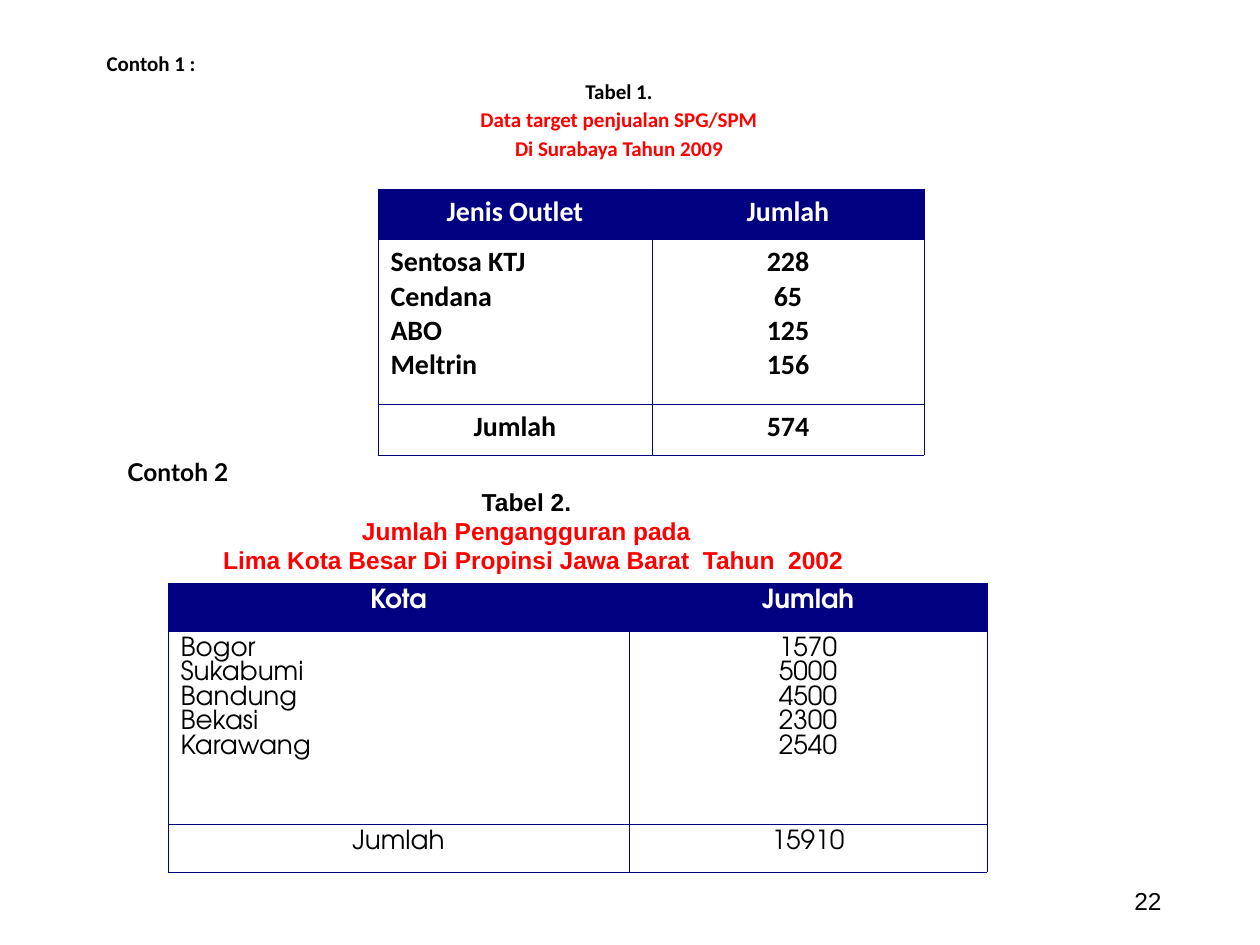
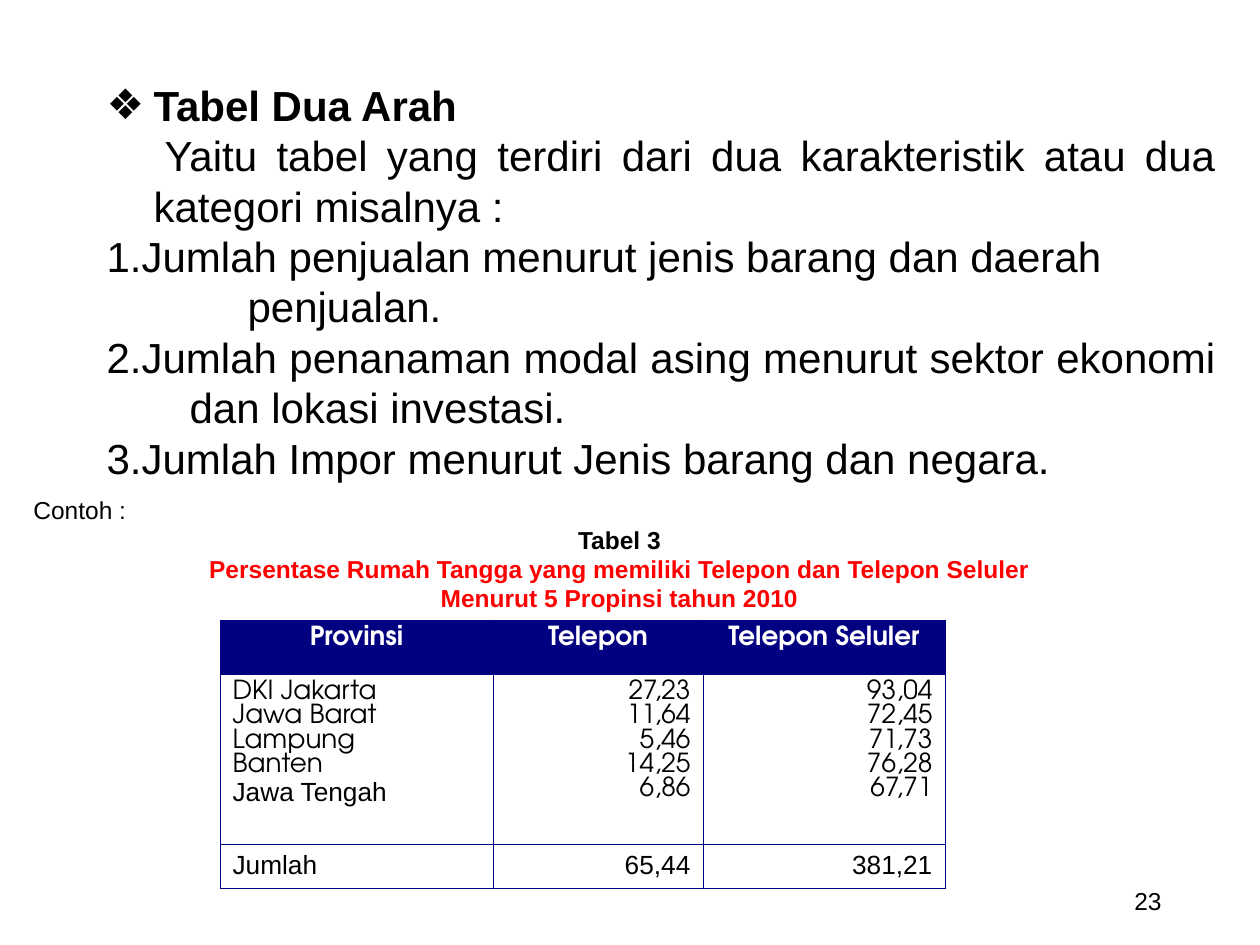
from lxml.etree import SubElement
from pptx import Presentation
from pptx.dml.color import RGBColor
from pptx.enum.text import MSO_ANCHOR, MSO_AUTO_SIZE, PP_ALIGN
from pptx.oxml.ns import qn
from pptx.util import Emu, Pt

PX_PER_INCH = 126
BLACK = RGBColor(0, 0, 0)
WHITE = RGBColor(255, 255, 255)
RED = RGBColor(255, 0, 0)
NAVY = RGBColor(0, 0, 128)
LEFT, CENTER, RIGHT, JUSTIFY = PP_ALIGN.LEFT, PP_ALIGN.CENTER, PP_ALIGN.RIGHT, PP_ALIGN.JUSTIFY
ARIAL, CALIBRI, LATO, ADVENTOR = "Arial", "Calibri", "Lato", "TeX Gyre Adventor"
LINE_RATIO = 1.2


def px(length):
    return Emu(round(length * 914400 / PX_PER_INCH))


def write_para(frame, text, font=ARIAL, size=14, color=BLACK, bold=False, align=LEFT,
               line=None, before=0, margin=0, indent=0, bullet=None):
    """Fill the empty first paragraph of the frame, or add one after the last."""
    para = frame.paragraphs[0]
    if para.runs:
        para = frame.add_paragraph()
    para.alignment = align
    para.space_before = Pt(before)
    if line:
        para.line_spacing = line
    properties = para._p.get_or_add_pPr()
    properties.set("marL", str(px(margin)))
    properties.set("indent", str(px(indent)))
    if bullet:
        SubElement(properties, qn("a:buChar"), char=bullet)
    else:
        SubElement(properties, qn("a:buNone"))
    span = para.add_run()
    span.text = text
    span.font.name, span.font.size, span.font.bold = font, Pt(size), bold
    span.font.color.rgb = color


def place(shape, box):
    shape.left, shape.top, shape.width, shape.height = map(px, box)


def add_page(deck, number):
    """Add a page without title, with its number at the bottom right."""
    page = deck.slides.add_slide(deck.slide_layouts[1])
    title = page.shapes.title._element
    title.getparent().remove(title)
    frame = add_text_box(page, (890, 876, 284, 50))
    frame.vertical_anchor = MSO_ANCHOR.MIDDLE
    write_para(frame, str(number), align=RIGHT)
    return page


def add_text_box(page, box):
    frame = page.shapes.add_textbox(*map(px, box)).text_frame
    frame.word_wrap = True
    return frame


def body_frame(page, box):
    body = page.placeholders[1]
    place(body, box)
    body.text_frame.auto_size = MSO_AUTO_SIZE.NONE
    return body.text_frame


def add_caption(page, box, example, name, title_lines, example_format, last_margin=0):
    """Example label, table name and a red table title of two lines."""
    frame = add_text_box(page, box)
    line = Pt(14 * LINE_RATIO)
    write_para(frame, example, line=line, **example_format)
    write_para(frame, name, bold=True, align=CENTER, line=line)
    for text, margin in zip(title_lines, (0, last_margin)):
        write_para(frame, text, bold=True, color=RED, align=CENTER, line=line, margin=margin)


def draw_borders(cell):
    properties = cell._tc.get_or_add_tcPr()
    for position, side in enumerate(("a:lnL", "a:lnR", "a:lnT", "a:lnB")):
        line = properties.makeelement(qn(side), {"w": str(Pt(0.45))})
        fill = SubElement(line, qn("a:solidFill"))
        SubElement(fill, qn("a:srgbClr"), val=str(NAVY))
        properties.insert(position, line)


def add_data_table(page, corner, widths, heights, rows, aligns, total_aligns, style,
                   bold=False, total_font=None, fonts=None):
    """Navy header, one row that holds all the entries, and a row for the total."""
    table = page.shapes.add_table(len(rows), len(widths), *map(
        px, (*corner, sum(widths), sum(heights)))).table
    table.first_row = table.horz_banding = False
    for column, width in zip(table.columns, widths):
        column.width = px(width)
    row_aligns = ([CENTER] * len(widths), aligns, total_aligns)
    for index, (row, height, texts) in enumerate(zip(table.rows, heights, rows)):
        row.height = px(height)
        for cell, entries, align in zip(row.cells, texts, row_aligns[index]):
            header = index == 0
            if header:
                cell.fill.solid()
                cell.fill.fore_color.rgb = NAVY
            else:
                cell.fill.background()
            draw_borders(cell)
            for text in entries.split("\n"):
                look = dict(style)
                if index == 2 and total_font:
                    look["font"] = total_font
                look["font"] = (fonts or {}).get(text, look["font"])
                write_para(cell.text_frame, text, align=align, bold=header or bold,
                           color=WHITE if header else BLACK, **look)


def build_one_way_page(deck):
    page = add_page(deck, 22)

    # First example
    frame = body_frame(page, (94, 53, 1050, 116))
    heading = dict(font=CALIBRI, size=12, bold=True, line=0.6, before=7.5)
    write_para(frame, "Contoh 1 :", **heading)
    write_para(frame, "Tabel 1.", align=CENTER, **heading)
    for text in ("Data target penjualan SPG/SPM", "Di Surabaya Tahun 2009"):
        write_para(frame, text, align=CENTER, color=RED, **heading)
    add_data_table(
        page, (378, 189), (274, 272), (50, 165, 51),
        [("Jenis Outlet", "Jumlah"),
         ("Sentosa KTJ\nCendana\nABO\nMeltrin", "228\n65\n125\n156"),
         ("Jumlah", "574")],
        (LEFT, CENTER), (CENTER, CENTER), dict(font=CALIBRI, size=16), bold=True)

    # Second example
    add_caption(page, (0, 451, 1053, 131), "Contoh 2", "Tabel 2.",
                ("Jumlah Pengangguran pada",
                 "Lima Kota Besar Di Propinsi Jawa Barat  Tahun  2002"),
                dict(font=LATO, bold=True, margin=115), last_margin=14)
    add_data_table(
        page, (168, 583), (461, 358), (48, 193, 48),
        [("Kota", "Jumlah"),
         ("Bogor\nSukabumi\nBandung\nBekasi\nKarawang", "1570\n5000\n4500\n2300\n2540"),
         ("Jumlah", "15910")],
        (LEFT, CENTER), (CENTER, CENTER), dict(font=ADVENTOR, size=15))


def build_two_way_page(deck):
    page = add_page(deck, 23)

    # Definition and list
    frame = body_frame(page, (94, 73, 1134, 416))
    text_format = dict(size=24, line=Pt(24 * LINE_RATIO))
    write_para(frame, "Tabel Dua Arah", bold=True, align=JUSTIFY, margin=47, indent=-47,
               bullet="❖", **text_format)
    write_para(frame, "Yaitu tabel yang terdiri dari dua karakteristik atau dua "
               "kategori misalnya :", align=JUSTIFY, margin=47, indent=11, **text_format)
    items = (
        ("1.Jumlah penjualan menurut jenis barang dan daerah penjualan.", LEFT, 141),
        ("2.Jumlah penanaman modal asing menurut sektor ekonomi dan lokasi investasi.",
         JUSTIFY, 83),
        ("3.Jumlah Impor menurut Jenis barang dan negara.", JUSTIFY, 47),
    )
    for text, align, hang in items:
        write_para(frame, text, align=align, margin=hang, indent=-hang, **text_format)

    # Example
    add_caption(page, (21, 489, 1197, 131), "Contoh :", "Tabel 3",
                ("Persentase Rumah Tangga yang memiliki Telepon dan Telepon Seluler",
                 "Menurut 5 Propinsi tahun 2010"), {})
    add_data_table(
        page, (220, 620), (273, 210, 242), (54, 170, 44),
        [("Provinsi", "Telepon", "Telepon Seluler"),
         ("DKI Jakarta\nJawa Barat\nLampung\nBanten\nJawa Tengah",
          "27,23\n11,64\n5,46\n14,25\n6,86", "93,04\n72,45\n71,73\n76,28\n67,71"),
         ("Jumlah", "65,44", "381,21")],
        (LEFT, RIGHT, RIGHT), (LEFT, RIGHT, RIGHT), dict(font=ADVENTOR, size=15),
        total_font=ARIAL, fonts={"Jawa Tengah": ARIAL})


def main():
    deck = Presentation()
    deck.slide_width, deck.slide_height = px(1260), px(945)
    build_one_way_page(deck)
    build_two_way_page(deck)
    deck.save("out.pptx")


if __name__ == "__main__":
    main()
